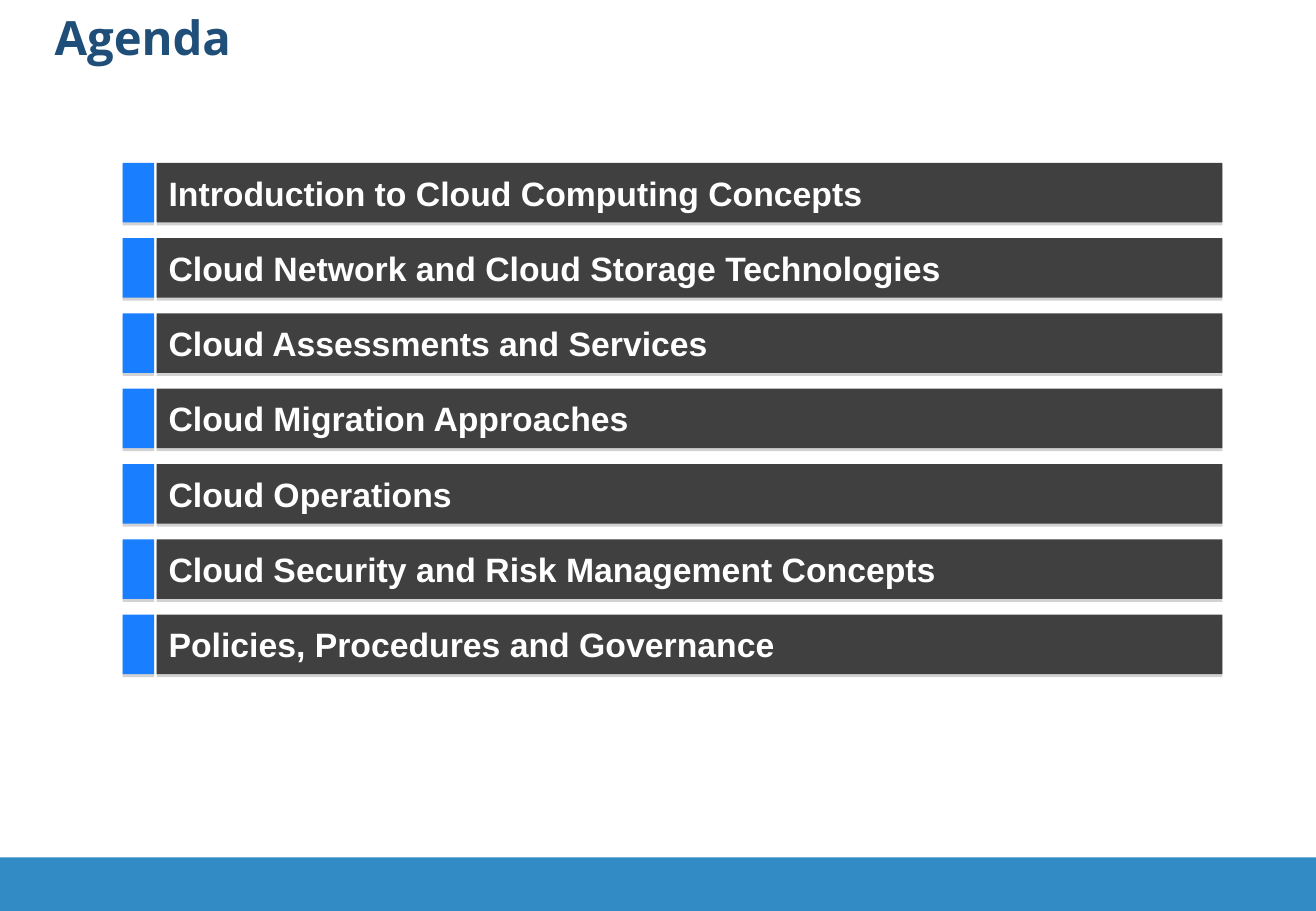
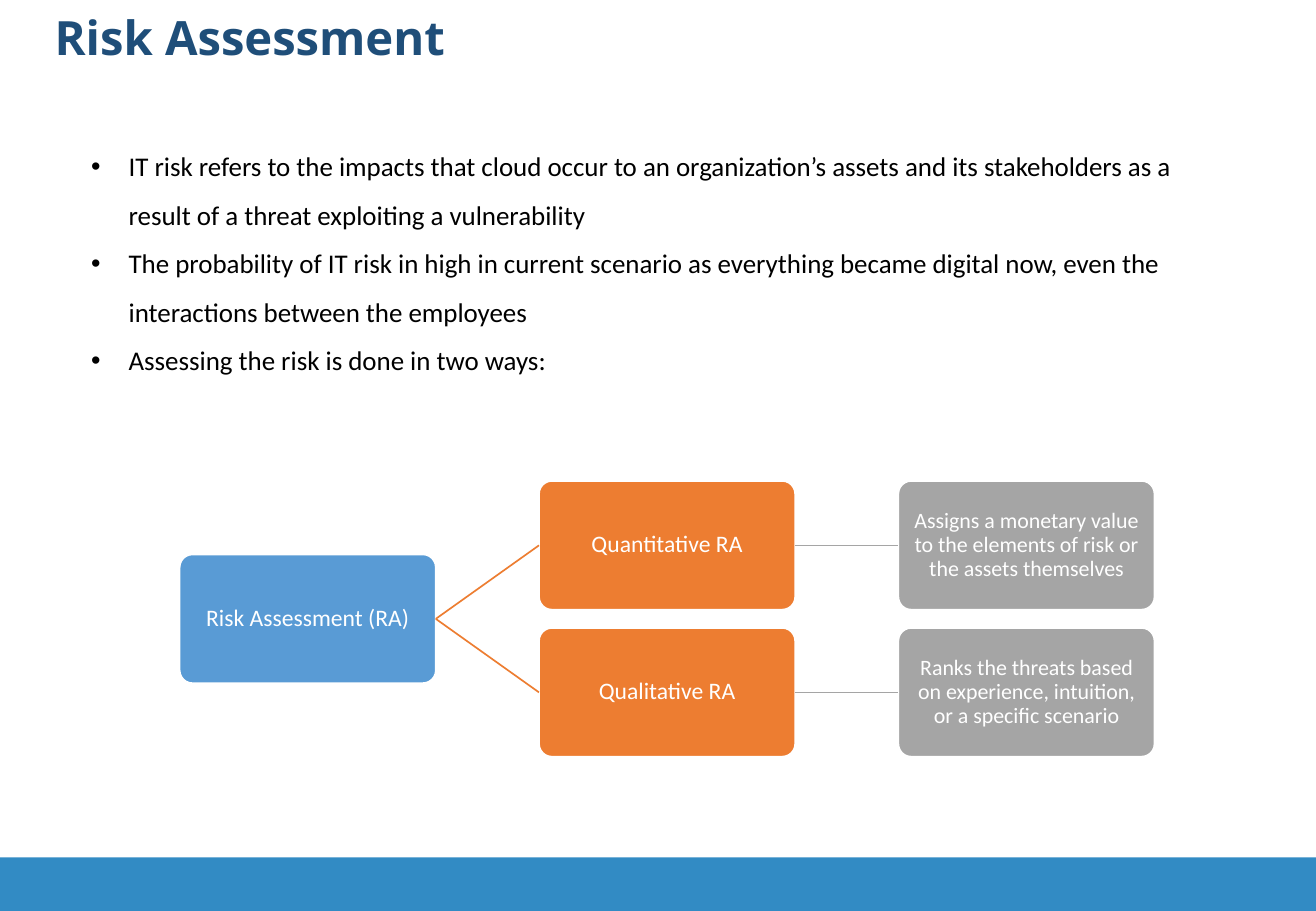
from pptx import Presentation
from pptx.dml.color import RGBColor
from pptx.enum.shapes import MSO_CONNECTOR as Connector, MSO_SHAPE as Shape
from pptx.enum.text import MSO_ANCHOR as Anchor, MSO_AUTO_SIZE as AutoSize, PP_ALIGN as Align
from pptx.oxml import parse_xml
from pptx.oxml.ns import nsdecls
from pptx.util import Inches, Pt

WHITE = RGBColor(0xFF, 0xFF, 0xFF)
BLACK = RGBColor(0x00, 0x00, 0x00)
NAVY = RGBColor(0x1F, 0x4E, 0x79)
BAND_BLUE = RGBColor(0x32, 0x8B, 0xC4)
MARKER_BLUE = RGBColor(0x19, 0x7E, 0xFF)
CHARCOAL = RGBColor(0x40, 0x40, 0x40)
NODE_BLUE = RGBColor(0x59, 0x9B, 0xD5)
ORANGE = RGBColor(0xED, 0x7D, 0x31)
GRAY = RGBColor(0xA5, 0xA5, 0xA5)

TITLE_ONLY, TITLE_AND_CONTENT = 5, 1
SHADOW = (
    f'<a:outerShdw {nsdecls("a")} blurRad="0" dist="22860" dir="5400000" rotWithShape="0">'
    '<a:srgbClr val="808080"><a:alpha val="35000"/></a:srgbClr></a:outerShdw>'
)

AGENDA = [
    "Introduction to Cloud Computing Concepts",
    "Cloud Network and Cloud Storage Technologies",
    "Cloud Assessments and Services",
    "Cloud Migration Approaches",
    "Cloud Operations",
    "Cloud Security and Risk Management Concepts",
    "Policies, Procedures and Governance",
]
RISK_POINTS = [
    "IT risk refers to the impacts that cloud occur to an organization’s assets and its "
    "stakeholders as a result of a threat exploiting a vulnerability",
    "The probability of IT risk in high in current scenario as everything became digital now, "
    "even the interactions between the employees",
    "Assessing the risk is done in two ways:",
]
RISK_METHODS = [
    ("Quantitative RA",
     "Assigns a monetary value to the elements of risk or the assets themselves"),
    ("Qualitative RA",
     "Ranks the threats based on experience, intuition, or a specific scenario"),
]


def apply_format(target, values):
    for name, value in values.items():
        setattr(target, name, value)


class Deck:
    """Holds the shared style and the slide being built."""

    width, height = 10.84, 7.5
    title_font = dict(name="Open Sans", size=Pt(28), bold=True)
    agenda_font = dict(name="Arial", size=Pt(20), bold=True)
    list_font = dict(name="Calibri", size=Pt(16))
    node_font = dict(name="Calibri", size=Pt(14))
    detail_font = dict(name="Calibri", size=Pt(13))

    def __init__(self):
        self.presentation = Presentation()
        self.presentation.slide_width = Inches(self.width)
        self.presentation.slide_height = Inches(self.height)
        self.slide = None

    def new_slide(self, title, layout):
        layouts = self.presentation.slide_layouts
        self.slide = self.presentation.slides.add_slide(layouts[layout])
        self.box(Shape.RECTANGLE, 0, 7.06, self.width, 0.44, BAND_BLUE)
        placeholder = self.slide.shapes.title
        self.place(placeholder, 0.35, 0.07, 6.21, 0.69)
        self.set_text(placeholder, [title], self.title_font, NAVY,
                      dict(alignment=Align.LEFT, line_spacing=0.9))

    def place(self, shape, *box):
        for name, value in zip(("left", "top", "width", "height"), box):
            setattr(shape, name, Inches(value))

    def set_text(self, shape, lines, font, color, layout, anchor=Anchor.TOP):
        frame = shape.text_frame
        apply_format(frame, dict(word_wrap=True, auto_size=AutoSize.NONE,
                                 vertical_anchor=anchor))
        frame.text = "\n".join(lines)
        for paragraph in frame.paragraphs:
            apply_format(paragraph, dict(layout, space_before=Pt(0)))
            run = paragraph.runs[0]
            apply_format(run.font, font)
            run.font.color.rgb = color

    def bullets(self, lines, *box):
        body = self.slide.placeholders[1]
        self.place(body, *box)
        self.set_text(body, lines, self.list_font, BLACK, dict(line_spacing=1.5))
        for paragraph in body.text_frame.paragraphs:
            properties = paragraph._p.get_or_add_pPr()
            properties.set("marL", str(Inches(0.31)))
            properties.set("indent", str(Inches(-0.31)))

    def box(self, kind, left, top, width, height, color):
        shape = self.slide.shapes.add_shape(
            kind, Inches(left), Inches(top), Inches(width), Inches(height))
        shape.fill.solid()
        shape.fill.fore_color.rgb = color
        shape.line.fill.background()
        shape.shadow.inherit = False
        return shape

    def agenda_row(self, text, top):
        height = 0.49
        marker = self.box(Shape.RECTANGLE, 1.01, top, 0.26, height, MARKER_BLUE)
        bar = self.box(Shape.RECTANGLE, 1.29, top, 8.78, height, CHARCOAL)
        for shape in (marker, bar):
            shape._element.spPr.find("{*}effectLst").append(parse_xml(SHADOW))
        self.set_text(bar, [text], self.agenda_font, WHITE,
                      dict(alignment=Align.LEFT), Anchor.MIDDLE)

    def node(self, text, left, top, color, font):
        shape = self.box(Shape.ROUNDED_RECTANGLE, left, top, 2.11, 1.06, color)
        shape.adjustments[0] = 0.1
        shape.line.color.rgb = WHITE
        shape.line.width = Pt(1)
        margins = ("margin_left", "margin_right", "margin_top", "margin_bottom")
        apply_format(shape.text_frame, dict.fromkeys(margins, Inches(0.04)))
        self.set_text(shape, [text], font, WHITE,
                      dict(alignment=Align.CENTER, line_spacing=0.9), Anchor.MIDDLE)
        return shape

    def link(self, source, target, color):
        """Join the right side of one node to the left side of another."""
        connector = self.slide.shapes.add_connector(Connector.STRAIGHT, 0, 0, 0, 0)
        connector.begin_connect(source, 3)
        connector.end_connect(target, 1)
        connector.line.color.rgb = color
        connector.line.width = Pt(1)
        connector._element.spPr.append(parse_xml(f'<a:effectLst {nsdecls("a")}/>'))


def build_agenda(deck):
    deck.new_slide("Agenda", TITLE_ONLY)
    first_top, pitch = 1.34, 0.62
    for index, topic in enumerate(AGENDA):
        deck.agenda_row(topic, first_top + index * pitch)


def build_risk_assessment(deck):
    deck.new_slide("Risk Assessment", TITLE_AND_CONTENT)
    deck.bullets(RISK_POINTS, 0.65, 1.05, 9.54, 2.52)
    root_left, column_pitch = 1.48, 2.96
    first_top, row_pitch = 3.96, 1.21
    method_left = root_left + column_pitch
    detail_left = method_left + column_pitch
    root = deck.node("Risk Assessment (RA)", root_left, first_top + row_pitch / 2,
                     NODE_BLUE, deck.node_font)
    for index, (name, description) in enumerate(RISK_METHODS):
        top = first_top + index * row_pitch
        method = deck.node(name, method_left, top, ORANGE, deck.node_font)
        detail = deck.node(description, detail_left, top, GRAY, deck.detail_font)
        deck.link(root, method, ORANGE)
        deck.link(method, detail, GRAY)


def main():
    deck = Deck()
    build_agenda(deck)
    build_risk_assessment(deck)
    deck.presentation.save("out.pptx")


if __name__ == "__main__":
    main()
